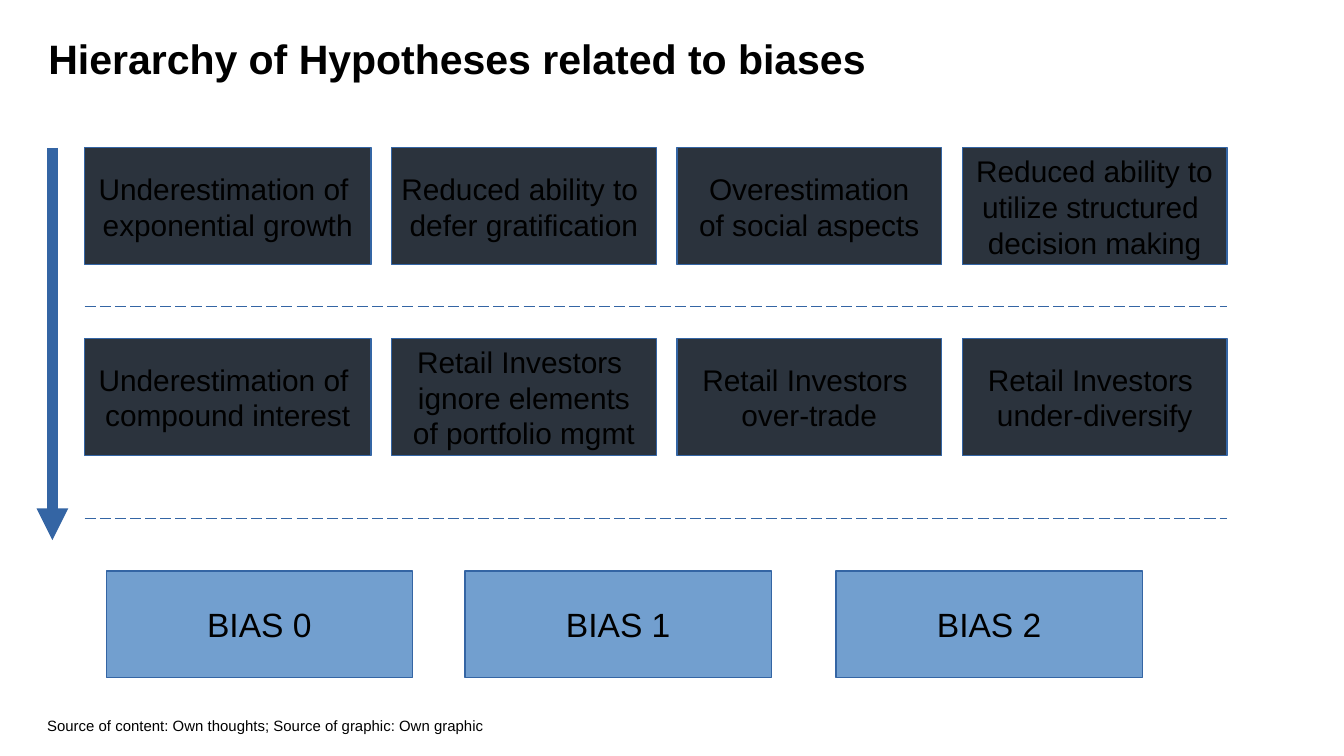
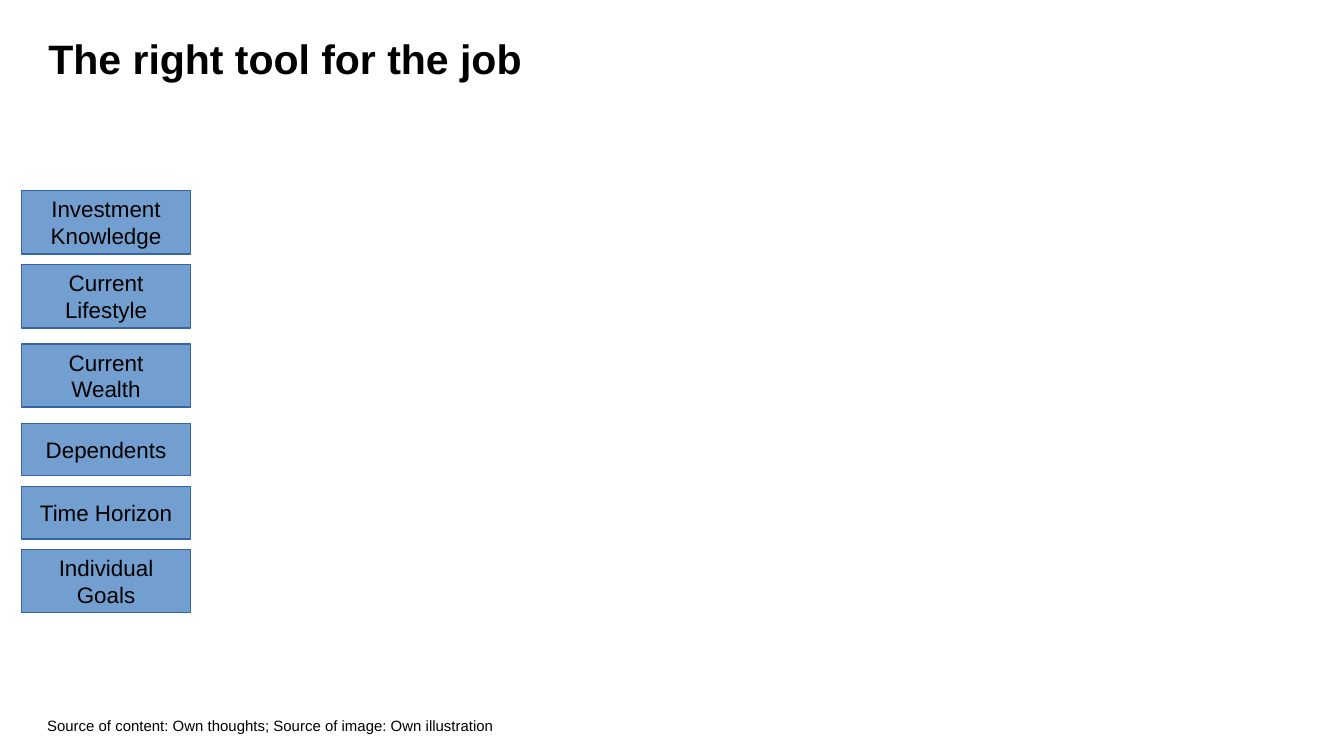
from pptx import Presentation
from pptx.dml.color import RGBColor
from pptx.enum.dml import MSO_LINE
from pptx.enum.shapes import MSO_CONNECTOR, MSO_SHAPE
from pptx.enum.text import MSO_ANCHOR, MSO_AUTO_SIZE, PP_ALIGN
from pptx.oxml.ns import qn
from pptx.util import Inches, Pt
from lxml.etree import SubElement

# Shared style, lengths in inches
WIDE = 10
HIGH = WIDE * 9 / 16
FONT = "Arial"
HUES = {"ink": "000000", "dark": "2B333D", "light": "729FCF", "edge": "3465A4"}

# Hypothesis grid
LEFT, RIGHT = 0.63, 9.13
WIDTHS = [2.13, 1.97, 1.97, 1.97]
GAP = (RIGHT - LEFT - sum(WIDTHS)) / (len(WIDTHS) - 1)
TOP, PITCH, TALL = 1.1, 1.42, 0.87
RULES = [2.28, 3.86]

CAUSES = [
    "Underestimation of \nexponential growth",
    "Reduced ability to \ndefer gratification",
    "Overestimation\nof social aspects",
    "Reduced ability to\nutilize structured \ndecision making",
]
EFFECTS = [
    "Underestimation of \ncompound interest",
    "Retail Investors \nignore elements\nof portfolio mgmt",
    "Retail Investors \nover-trade",
    "Retail Investors \nunder-diversify",
]
BIASES = {"BIAS 0": 0.79, "BIAS 1": 3.46, "BIAS 2": 6.22}

# Stack of factors: paragraphs, height, gap below
FACTORS = [
    (["Investment", "Knowledge"], 0.47, 0.08),
    (["Current\nLifestyle"], 0.47, 0.12),
    (["Current\nWealth"], 0.47, 0.12),
    (["Dependents"], 0.39, 0.08),
    (["Time Horizon"], 0.39, 0.08),
    (["Individual\nGoals"], 0.47, 0),
]


def hue(name):
    return RGBColor.from_string(HUES[name])


def write(frame, paras, size, align=PP_ALIGN.LEFT, bold=False):
    """Fill a text frame with evenly styled paragraphs."""
    for i, text in enumerate(paras):
        para = frame.add_paragraph() if i else frame.paragraphs[0]
        para.text = text
        para.alignment = align
        font = para.font
        font.name, font.size, font.bold = FONT, Pt(size), bold
        font.color.rgb = hue("ink")


def inset(frame, x, y):
    frame.margin_left = frame.margin_right = Inches(x)
    frame.margin_top = frame.margin_bottom = Inches(y)


def start(deck, title, source):
    """Add a slide with its title and source line."""
    slide = deck.slides.add_slide(deck.slide_layouts[5])
    head = slide.shapes.title
    head.left, head.top = Inches(0.36), Inches(0.25)
    head.width, head.height = Inches(9.28), Inches(0.34)
    foot = slide.shapes.add_textbox(
        Inches(0.35), Inches(5.33), Inches(9.29), Inches(0.29))
    for shape, text, size, bold in ((head, title, 22, True),
                                    (foot, source, 8, False)):
        frame = shape.text_frame
        frame.word_wrap = True
        frame.auto_size = MSO_AUTO_SIZE.NONE
        frame.vertical_anchor = MSO_ANCHOR.TOP
        inset(frame, 0, 0)
        write(frame, [text], size, bold=bold)
    return slide


def box(slide, x, y, w, h, paras, fill, size):
    shape = slide.shapes.add_shape(
        MSO_SHAPE.RECTANGLE, Inches(x), Inches(y), Inches(w), Inches(h))
    shape.shadow.inherit = False
    shape.fill.solid()
    shape.fill.fore_color.rgb = hue(fill)
    shape.line.color.rgb = hue("edge")
    shape.line.width = Pt(0.75)
    frame = shape.text_frame
    frame.word_wrap = False
    frame.vertical_anchor = MSO_ANCHOR.MIDDLE
    inset(frame, 0.1, 0.05)
    write(frame, paras, size, PP_ALIGN.CENTER)


def line(slide, x1, y1, x2, y2, width):
    link = slide.shapes.add_connector(
        MSO_CONNECTOR.STRAIGHT, Inches(x1), Inches(y1), Inches(x2), Inches(y2))
    link.line.color.rgb = hue("edge")
    link.line.width = Pt(width)
    SubElement(link._element.spPr, qn("a:effectLst"))
    return link


def arrow(slide, x, y1, y2):
    link = line(slide, x, y1, x, y2, 5.67)
    SubElement(link.line._get_or_add_ln(), qn("a:tailEnd"), type="triangle")


def row(slide, y, texts):
    x = LEFT
    for text, width in zip(texts, WIDTHS):
        box(slide, x, y, width, TALL, [text], "dark", 16)
        x += width + GAP


def ladder(deck):
    slide = start(
        deck, "Hierarchy of Hypotheses related to biases",
        "Source of content: Own thoughts; Source of graphic: Own graphic")
    for i, texts in enumerate((CAUSES, EFFECTS)):
        row(slide, TOP + i * PITCH, texts)
    for text, x in BIASES.items():
        box(slide, x, 4.25, 2.28, 0.79, [text], "light", 18)
    arrow(slide, 0.39, TOP, 4.02)
    for y in RULES:
        rule = line(slide, LEFT, y, RIGHT, y, 0.75)
        rule.line.dash_style = MSO_LINE.LONG_DASH


def tools(deck):
    slide = start(
        deck, "The right tool for the job",
        "Source of content: Own thoughts; Source of image: Own illustration")
    y = 1.42
    for paras, height, gap in FACTORS:
        box(slide, 0.16, y, 1.26, height, paras, "light", 12)
        y += height + gap


def main():
    deck = Presentation()
    deck.slide_width, deck.slide_height = Inches(WIDE), Inches(HIGH)
    ladder(deck)
    tools(deck)
    deck.save("out.pptx")


if __name__ == "__main__":
    main()
